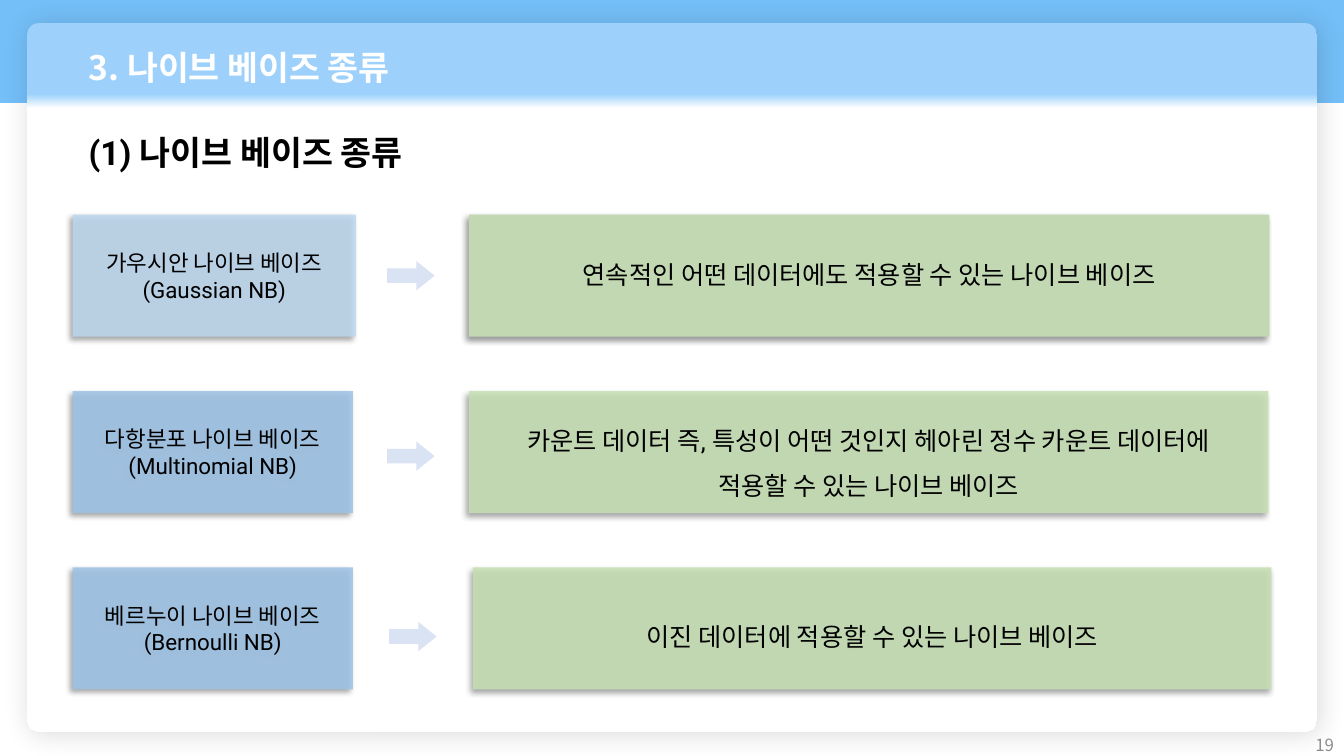
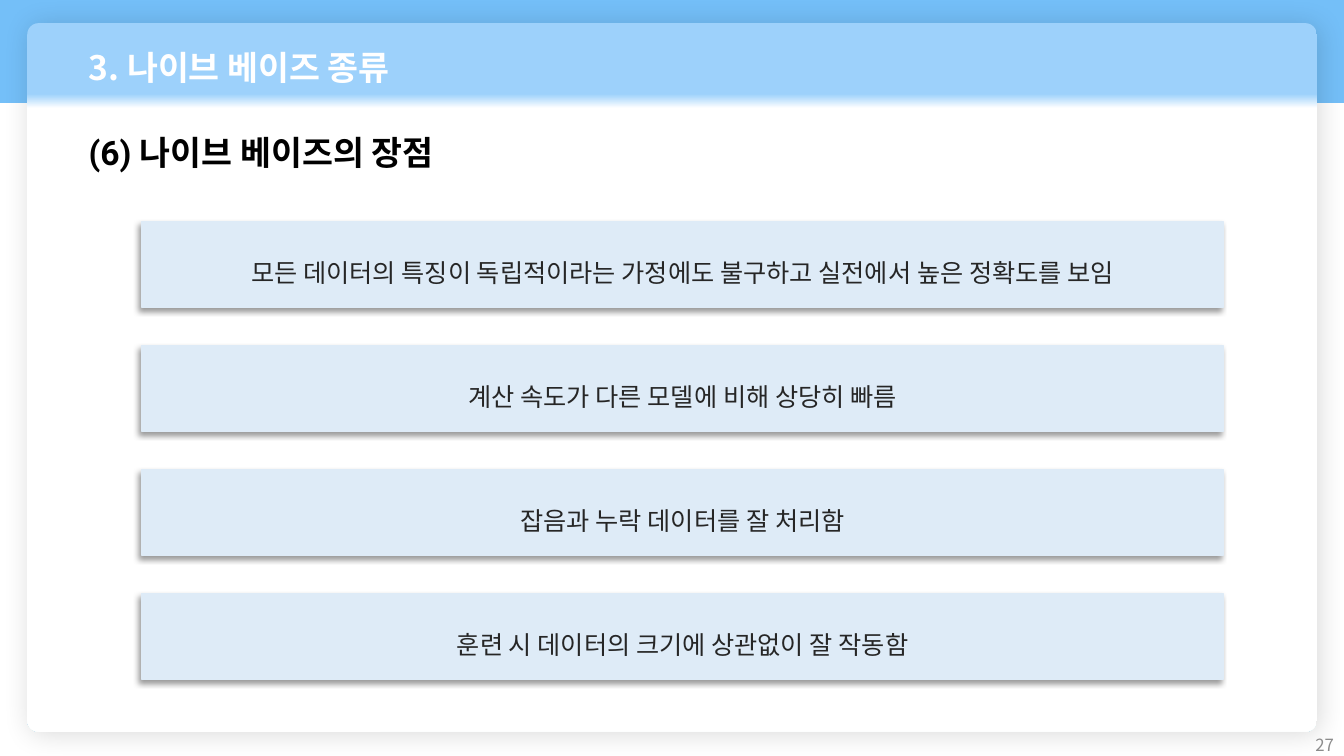
from dataclasses import dataclass

from lxml import etree
from pptx import Presentation
from pptx.dml.color import RGBColor
from pptx.enum.shapes import MSO_SHAPE
from pptx.enum.text import MSO_ANCHOR, PP_ALIGN
from pptx.oxml.ns import qn
from pptx.util import Inches, Pt

RECTANGLE = MSO_SHAPE.RECTANGLE
ROUNDED = MSO_SHAPE.ROUNDED_RECTANGLE
RIGHT_ARROW = MSO_SHAPE.RIGHT_ARROW
TOP, MIDDLE = MSO_ANCHOR.TOP, MSO_ANCHOR.MIDDLE
LEFT, CENTER, RIGHT = PP_ALIGN.LEFT, PP_ALIGN.CENTER, PP_ALIGN.RIGHT

KOREAN_FONT = "Noto Sans CJK KR"
BODY_FONT = "Roboto"
SLIDE_WIDTH = 13.33
CHAPTER = "3. 나이브 베이즈 종류"

COLORS = {
    "band": "74BFF8",
    "header": "9DD1FB",
    "white": "FFFFFF",
    "black": "000000",
    "page": "8C8C8C",
    "label_light": "BDD7EE",
    "label": "9DC3E6",
    "description_solid": "C1D8B3",
    "description": "C5E0B4",
    "arrow": "DAE3F3",
    "advantage": "DEEBF7",
    "advantage_text": "262626",
}
OPACITY = {"label_light": 86, "label": 86, "description": 86}


@dataclass(frozen=True)
class Box:
    left: float
    top: float
    width: float
    height: float

    def emu(self):
        return [Inches(v) for v in (self.left, self.top, self.width, self.height)]


@dataclass(frozen=True)
class TextStyle:
    size: int
    color: str
    font: str = BODY_FONT
    bold: bool = False
    align: PP_ALIGN = LEFT
    anchor: MSO_ANCHOR = TOP
    line_spacing: float = 1.0
    top_margin: float = 0.05


@dataclass(frozen=True)
class Shadow:
    opacity: int
    blur: int
    distance: int
    angle: int


@dataclass(frozen=True)
class Variant:
    label: list[str]
    label_width: float
    label_fill: str
    arrow_left: float
    description: list[str]
    description_left: float
    description_width: float
    description_fill: str
    text_top: float
    line_spacing: float = 1.0


PANEL_SHADOW = Shadow(14, 20, 3, 45)
CARD_SHADOW = Shadow(40, 4, 3, 135)

CHAPTER_STYLE = TextStyle(24, "white", KOREAN_FONT, bold=True)
HEADING_STYLE = TextStyle(24, "black", bold=True)
PAGE_STYLE = TextStyle(12, "page", KOREAN_FONT, align=RIGHT, anchor=MIDDLE)
LABEL_STYLE = TextStyle(16, "black", align=CENTER, anchor=MIDDLE)
ADVANTAGE_STYLE = TextStyle(18, "advantage_text", align=CENTER, anchor=MIDDLE,
                            line_spacing=1.5)

VARIANTS = [
    Variant(["가우시안 나이브 베이즈(Gaussian NB)"], 2.81, "label_light", 3.84,
            ["연속적인 어떤 데이터에도 적용할 수 있는 나이브 베이즈"],
            4.65, 7.94, "description_solid", 0.44),
    Variant(["다항분포 나이브 베이즈", "(Multinomial NB)"], 2.78, "label", 3.84,
            ["카운트 데이터 즉, 특성이 어떤 것인지 헤아린 정수 카운트 데이터에",
             "적용할 수 있는 나이브 베이즈"],
            4.65, 7.93, "description", 0.19, 1.5),
    Variant(["베르누이 나이브 베이즈", "(Bernoulli NB)"], 2.78, "label", 3.86,
            ["이진 데이터에 적용할 수 있는 나이브 베이즈"],
            4.69, 7.92, "description", 0.53),
]
ADVANTAGES = [
    "모든 데이터의 특징이 독립적이라는 가정에도 불구하고 실전에서 높은 정확도를 보임",
    "계산 속도가 다른 모델에 비해 상당히 빠름",
    "잡음과 누락 데이터를 잘 처리함",
    "훈련 시 데이터의 크기에 상관없이 잘 작동함",
]


def rgb(name: str) -> RGBColor:
    return RGBColor.from_string(COLORS[name])


def write(shape, lines: list[str], style: TextStyle) -> None:
    frame = shape.text_frame
    frame.word_wrap = True
    frame.vertical_anchor = style.anchor
    frame.margin_left = frame.margin_right = Inches(0.1)
    frame.margin_top, frame.margin_bottom = Inches(style.top_margin), Inches(0.05)
    for index, line in enumerate(lines):
        paragraph = frame.add_paragraph() if index else frame.paragraphs[0]
        paragraph.alignment = style.align
        paragraph.line_spacing = style.line_spacing
        paragraph.space_before = Pt(0)
        run = paragraph.add_run()
        run.text = line
        run.font.size = Pt(style.size)
        run.font.bold = style.bold
        run.font.color.rgb = rgb(style.color)
        run.font.name = style.font
        east_asian = etree.SubElement(run.font._element, qn("a:ea"))
        east_asian.set("typeface", KOREAN_FONT)


def add_text(slide, box: Box, line: str, style: TextStyle) -> None:
    write(slide.shapes.add_textbox(*box.emu()), [line], style)


def add_shadow(shape, shadow: Shadow) -> None:
    effects = shape.element.spPr.find(qn("a:effectLst"))
    outer = etree.SubElement(effects, qn("a:outerShdw"), {
        "blurRad": str(Pt(shadow.blur)), "dist": str(Pt(shadow.distance)),
        "dir": str(shadow.angle * 60000), "algn": "ctr", "rotWithShape": "0"})
    color = etree.SubElement(outer, qn("a:srgbClr"), val=COLORS["black"])
    etree.SubElement(color, qn("a:alpha"), val=str(shadow.opacity * 1000))


def add_block(slide, kind: MSO_SHAPE, box: Box, fill: str,
              shadow: Shadow | None = None):
    block = slide.shapes.add_shape(kind, *box.emu())
    block.fill.solid()
    block.fill.fore_color.rgb = rgb(fill)
    if fill in OPACITY:
        color = block.element.spPr.find(qn("a:solidFill")).find(qn("a:srgbClr"))
        etree.SubElement(color, qn("a:alpha"), val=str(OPACITY[fill] * 1000))
    block.line.fill.background()
    block.shadow.inherit = False
    if shadow:
        add_shadow(block, shadow)
    return block


def add_lesson_slide(deck, heading: str, page: str):
    """Add a slide with the band, panel, chapter title, heading and page number."""
    slide = deck.slides.add_slide(deck.slide_layouts[5])

    # Band and panel
    add_block(slide, RECTANGLE, Box(0, 0, SLIDE_WIDTH, 1.02), "band")
    panel = add_block(slide, ROUNDED, Box(0.27, 0.23, 12.79, 7.03), "white",
                      PANEL_SHADOW)
    panel.adjustments[0] = 0.016
    panel.fill.gradient()
    panel.fill.gradient_angle = 270
    for stop, position, color in zip(panel.fill.gradient_stops, (0.10, 0.12),
                                     ("header", "white")):
        stop.position = position
        stop.color.rgb = rgb(color)

    # Chapter title, brought in front of the panel
    title = slide.shapes.title
    slide.shapes.element.append(title.element)
    title.left, title.top, title.width, title.height = Box(0.78, 0.42, 11.8, 0.58).emu()
    write(title, [CHAPTER], CHAPTER_STYLE)

    # Heading and page number
    add_text(slide, Box(0.78, 1.26, 7.38, 0.5), heading, HEADING_STYLE)
    add_text(slide, Box(10.33, 7.19, 3, 0.4), page, PAGE_STYLE)
    return slide


def add_variant(slide, index: int, variant: Variant) -> None:
    top = 2.13 + 1.75 * index
    label = add_block(slide, RECTANGLE, Box(0.72, top, variant.label_width, 1.21),
                      variant.label_fill, CARD_SHADOW)
    write(label, variant.label, LABEL_STYLE)

    arrow = add_block(slide, RIGHT_ARROW,
                      Box(variant.arrow_left, 2.59 + 1.79 * index, 0.47, 0.29), "arrow")
    arrow.adjustments[1] = 0.62

    description = add_block(
        slide, RECTANGLE,
        Box(variant.description_left, top, variant.description_width, 1.21),
        variant.description_fill, CARD_SHADOW)
    write(description, variant.description,
          TextStyle(18, "black", align=CENTER, line_spacing=variant.line_spacing,
                    top_margin=variant.text_top))


def add_advantage(slide, index: int, sentence: str) -> None:
    bar = add_block(slide, RECTANGLE, Box(1.41, 2.2 + 1.23 * index, 10.72, 0.85),
                    "advantage", CARD_SHADOW)
    bar.line.color.rgb = rgb("advantage")
    bar.line.width = Pt(1)
    write(bar, [sentence], ADVANTAGE_STYLE)


def main() -> None:
    deck = Presentation()
    deck.slide_width, deck.slide_height = Inches(SLIDE_WIDTH), Inches(7.5)

    # Kinds of naive Bayes
    kinds = add_lesson_slide(deck, "(1) 나이브 베이즈 종류", "19")
    for index, variant in enumerate(VARIANTS):
        add_variant(kinds, index, variant)

    # Advantages of naive Bayes
    advantages = add_lesson_slide(deck, "(6) 나이브 베이즈의 장점", "27")
    for index, sentence in enumerate(ADVANTAGES):
        add_advantage(advantages, index, sentence)

    deck.save("out.pptx")


if __name__ == "__main__":
    main()
